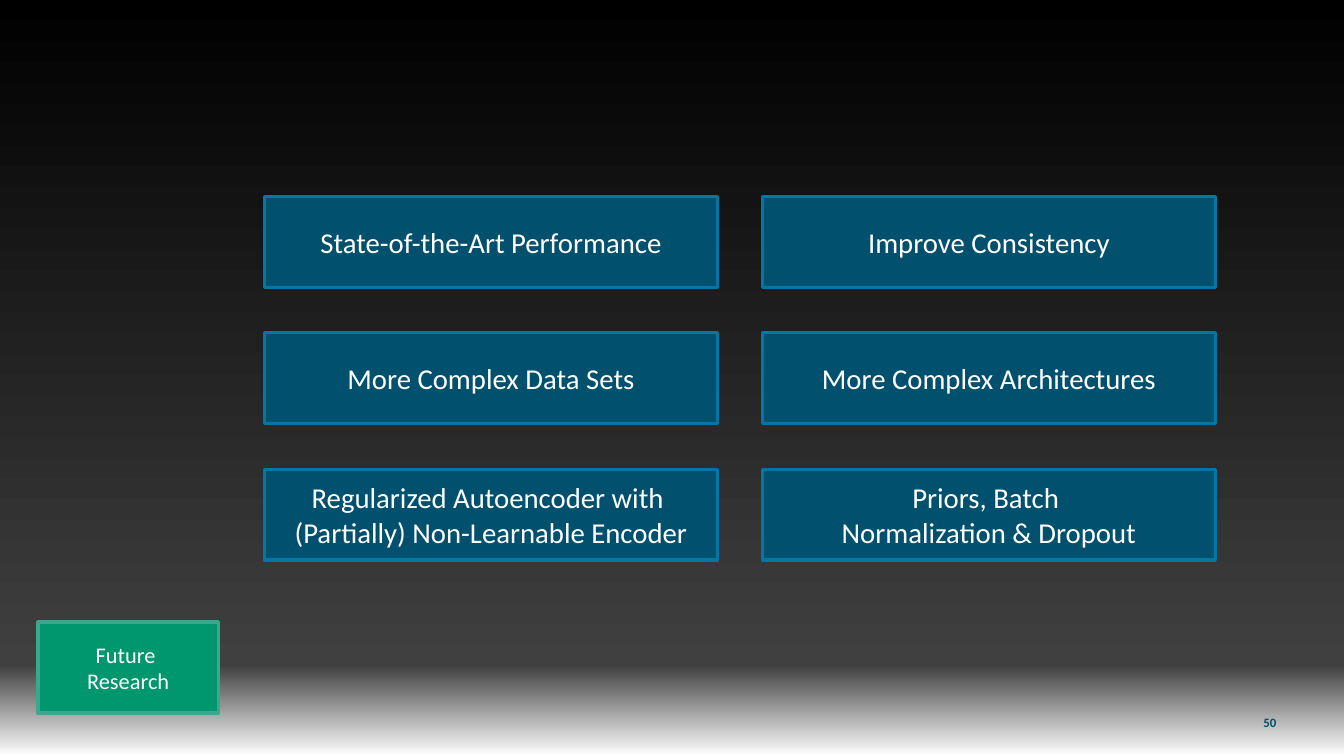
"""Build the future research slide: a grid of topics, a section tag and a page number."""
from copy import deepcopy
from dataclasses import dataclass

from pptx import Presentation
from pptx.dml.color import RGBColor as Rgb
from pptx.enum.shapes import MSO_SHAPE as Kind
from pptx.enum.text import MSO_ANCHOR as Anchor, PP_ALIGN as Align
from pptx.oxml.ns import qn
from pptx.slide import Slide
from pptx.text.text import TextFrame
from pptx.util import Inches, Pt

BLACK = Rgb(0x00, 0x00, 0x00)
GREY = Rgb(0x40, 0x40, 0x40)
WHITE = Rgb(0xFF, 0xFF, 0xFF)
NAVY = Rgb(0x00, 0x50, 0x6E)
BLUE = Rgb(0x00, 0x77, 0xA6)
GREEN = Rgb(0x00, 0x96, 0x6E)
MINT = Rgb(0x3C, 0xA7, 0x8D)

FONT = "Calibri"
WIDE = 187 / 16
HIGH = WIDE * 9 / 16
LEFT, RIGHT = 2.3, 6.63
TOP, LAST = 1.71, 4.08
BOX_W, BOX_H = 3.94, 0.79
STOPS = ((0, BLACK), (0.88, GREY), (1, WHITE))
TOPICS = (
    ("State-of-the-Art Performance", "Improve Consistency"),
    ("More Complex Data Sets", "More Complex Architectures"),
    ("Regularized Autoencoder with \n(Partially) Non-Learnable Encoder",
     "Priors, Batch \nNormalization & Dropout"),
)
STEP = (LAST - TOP) / (len(TOPICS) - 1)


@dataclass(frozen=True)
class Box:
    """A labelled rectangle, with lengths in inches."""
    text: str
    left: float
    top: float
    width: float = BOX_W
    fill: Rgb = NAVY
    edge: Rgb = BLUE
    size: int = 18


def style(frame: TextFrame, size: int, color: Rgb, align: Align, bold: bool = False) -> None:
    """Format all text of a frame alike."""
    frame.word_wrap = True
    frame.vertical_anchor = Anchor.MIDDLE
    for para in frame.paragraphs:
        para.alignment = align
        for run in para.runs:
            run.font.name = FONT
            run.font.size = Pt(size)
            run.font.bold = bold
            run.font.color.rgb = color


def draw_box(slide: Slide, box: Box) -> None:
    """Draw one labelled rectangle."""
    shape = slide.shapes.add_shape(
        Kind.RECTANGLE, Inches(box.left), Inches(box.top), Inches(box.width), Inches(BOX_H))
    shape.shadow.inherit = False
    shape.fill.solid()
    shape.fill.fore_color.rgb = box.fill
    shape.line.color.rgb = box.edge
    shape.line.width = Pt(2)
    shape.text_frame.text = box.text
    style(shape.text_frame, box.size, WHITE, Align.CENTER)


def draw_page(slide: Slide, label: str) -> None:
    """Draw the page number."""
    frame = slide.shapes.add_textbox(
        Inches(0.94 * WIDE), Inches(6.14), Inches(0.36), Inches(0.29)).text_frame
    frame.margin_left = frame.margin_right = 0
    frame.text = label
    style(frame, 8, NAVY, Align.LEFT, bold=True)


def shade(slide: Slide) -> None:
    """Fill the background with a gradient running downwards."""
    fill = slide.background.fill
    fill.gradient()
    fill.gradient_angle = 270
    nodes = slide.element.find(".//" + qn("a:gsLst"))
    nodes.append(deepcopy(nodes[-1]))
    for stop, (place, color) in zip(fill.gradient_stops, STOPS):
        stop.position = place
        stop.color.rgb = color


def main() -> None:
    """Build and save the slide."""
    deck = Presentation()
    deck.slide_width, deck.slide_height = Inches(WIDE), Inches(HIGH)
    slide = deck.slides.add_slide(deck.slide_layouts[6])
    shade(slide)
    for row, texts in enumerate(TOPICS):
        for left, text in zip((LEFT, RIGHT), texts):
            draw_box(slide, Box(text, left, TOP + row * STEP))
    draw_box(slide, Box("Future \nResearch", 0.33, 5.41, 1.57, GREEN, MINT, 14))
    draw_page(slide, "50")
    deck.save("out.pptx")


if __name__ == "__main__":
    main()
